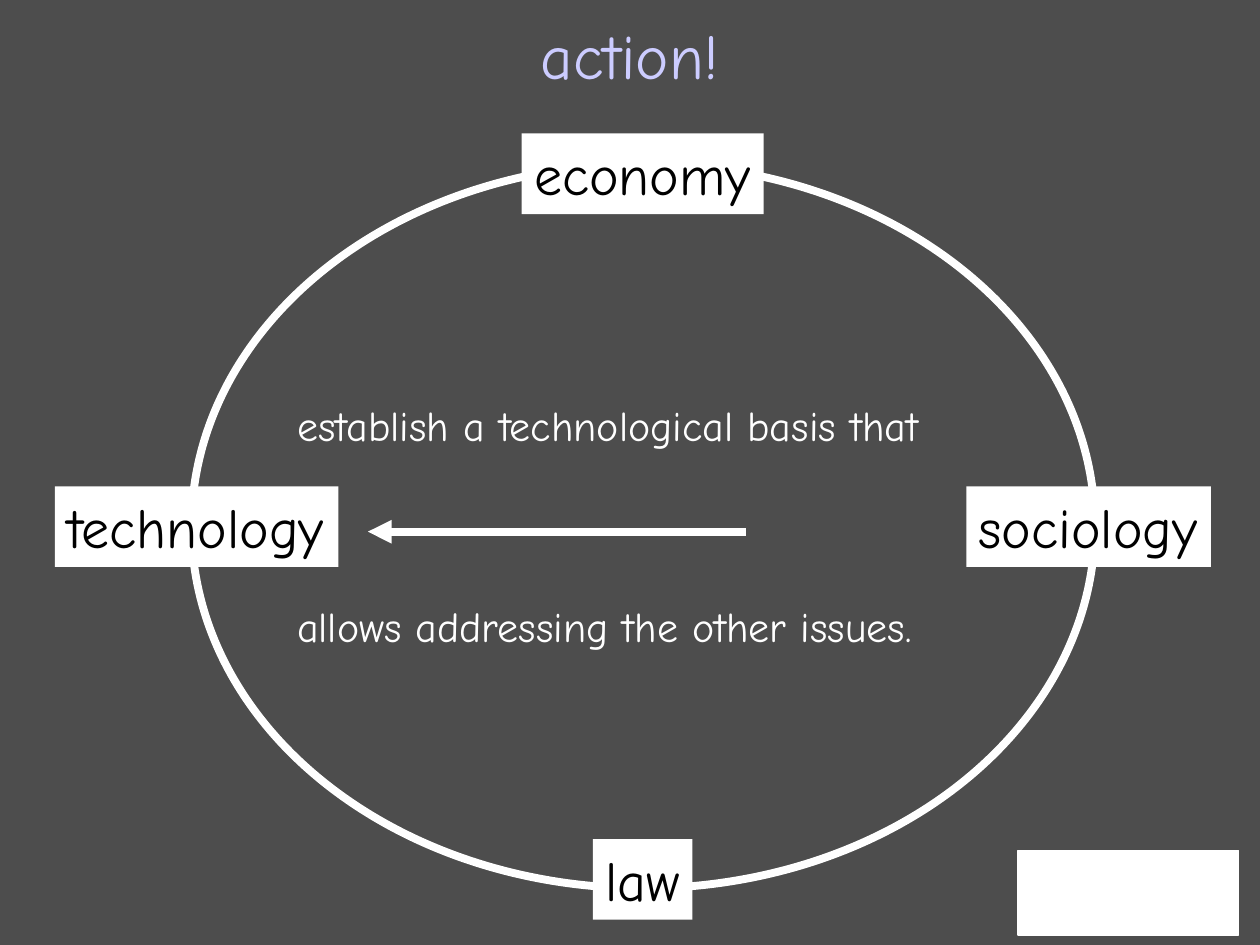
from lxml import etree
from pptx import Presentation
from pptx import util as u
from pptx.dml.color import RGBColor
from pptx.enum import shapes, text
from pptx.oxml import ns


def rgb(value):
    """Turn a hex string into a colour."""
    return RGBColor.from_string(value)


class Deck:
    """Hold the style and the current slide, and draw each kind of element."""

    FONT = "Comic Neue"
    GREY, WHITE, BLACK, LILAC = "4D4D4D", "FFFFFF", "000000", "CCCCFF"
    STROKE = 4.5
    LABEL_HEIGHT = 0.64

    def __init__(self, slide):
        self.s = slide
        fill = slide.background.fill
        fill.solid()
        fill.fore_color.rgb = rgb(self.GREY)

    def set_text(self, tf, lines, size, color, align=text.PP_ALIGN.LEFT, gap=0, wrap=False):
        tf.word_wrap = wrap
        tf.auto_size = text.MSO_AUTO_SIZE.NONE
        tf.vertical_anchor = text.MSO_ANCHOR.TOP
        for i, line in enumerate(lines):
            p = tf.add_paragraph() if i else tf.paragraphs[0]
            p.text = line
            p.alignment = align
            p.space_before = u.Pt(gap if i else 0)
            p.font.name = self.FONT
            p.font.size = u.Pt(size)
            p.font.color.rgb = rgb(color)

    def title(self, words, x, y, w, h):
        sp = self.s.shapes.title
        sp.left, sp.top, sp.width, sp.height = map(u.Inches, (x, y, w, h))
        self.set_text(sp.text_frame, [words], 36, self.LILAC, text.PP_ALIGN.CENTER, wrap=True)

    def shape(self, kind, x, y, w, h, fill=None, line=None):
        sp = self.s.shapes.add_shape(kind, *map(u.Inches, (x, y, w, h)))
        sp.shadow.inherit = False
        if fill:
            sp.fill.solid()
            sp.fill.fore_color.rgb = rgb(fill)
        else:
            sp.fill.background()
        if line:
            sp.line.color.rgb = rgb(self.WHITE)
            sp.line.width = u.Pt(line)
        else:
            sp.line.fill.background()
        return sp

    def box(self, x, y, w, h, line=None):
        return self.shape(shapes.MSO_SHAPE.RECTANGLE, x, y, w, h, self.WHITE, line)

    def ring(self, x, y, w, h):
        self.shape(shapes.MSO_SHAPE.OVAL, x, y, w, h, line=self.STROKE)

    def label(self, words, cx, cy, w):
        sp = self.box(cx - w / 2, cy - self.LABEL_HEIGHT / 2, w, self.LABEL_HEIGHT)
        self.set_text(sp.text_frame, [words], 32, self.BLACK)

    def arrow(self, tip_x, end_x, y):
        c = self.s.shapes.add_connector(
            shapes.MSO_CONNECTOR.STRAIGHT, *map(u.Inches, (tip_x, y, end_x, y)))
        c.line.color.rgb = rgb(self.WHITE)
        c.line.width = u.Pt(self.STROKE)
        properties = c.element.spPr
        etree.SubElement(properties.get_or_add_ln(), ns.qn("a:headEnd"), type="triangle")
        etree.SubElement(properties, ns.qn("a:effectLst"))

    def note(self, lines, x, y, w, h, gap):
        sp = self.s.shapes.add_textbox(*map(u.Inches, (x, y, w, h)))
        self.set_text(sp.text_frame, lines, 24, self.WHITE, gap=gap)


def main():
    """Build the slide and save it."""
    prs = Presentation()
    prs.slide_width, prs.slide_height = u.Inches(10), u.Inches(7.5)
    deck = Deck(prs.slides.add_slide(prs.slide_layouts[5]))

    deck.box(8.08, 6.75, 1.75, 0.67, line=1)
    deck.ring(1.52, 1.3, 7.17, 5.75)
    cx, cy, dx, dy = 5.1, 4.18, 3.54, 2.8
    for words, across, down, width in (
        ("technology", -1, 0, 2.25),
        ("law", 0, 1, 0.79),
        ("economy", 0, -1, 1.92),
        ("sociology", 1, 0, 1.94),
    ):
        deck.label(words, cx + across * dx, cy + down * dy, width)
    deck.arrow(2.92, 5.92, 4.22)
    deck.note(
        ["establish a technological basis that", "allows addressing the other issues."],
        2.26, 3.12, 5.15, 2.1, gap=86.4)
    deck.title("action!", 0, 0.08, 10, 0.7)

    prs.save("out.pptx")


if __name__ == "__main__":
    main()
